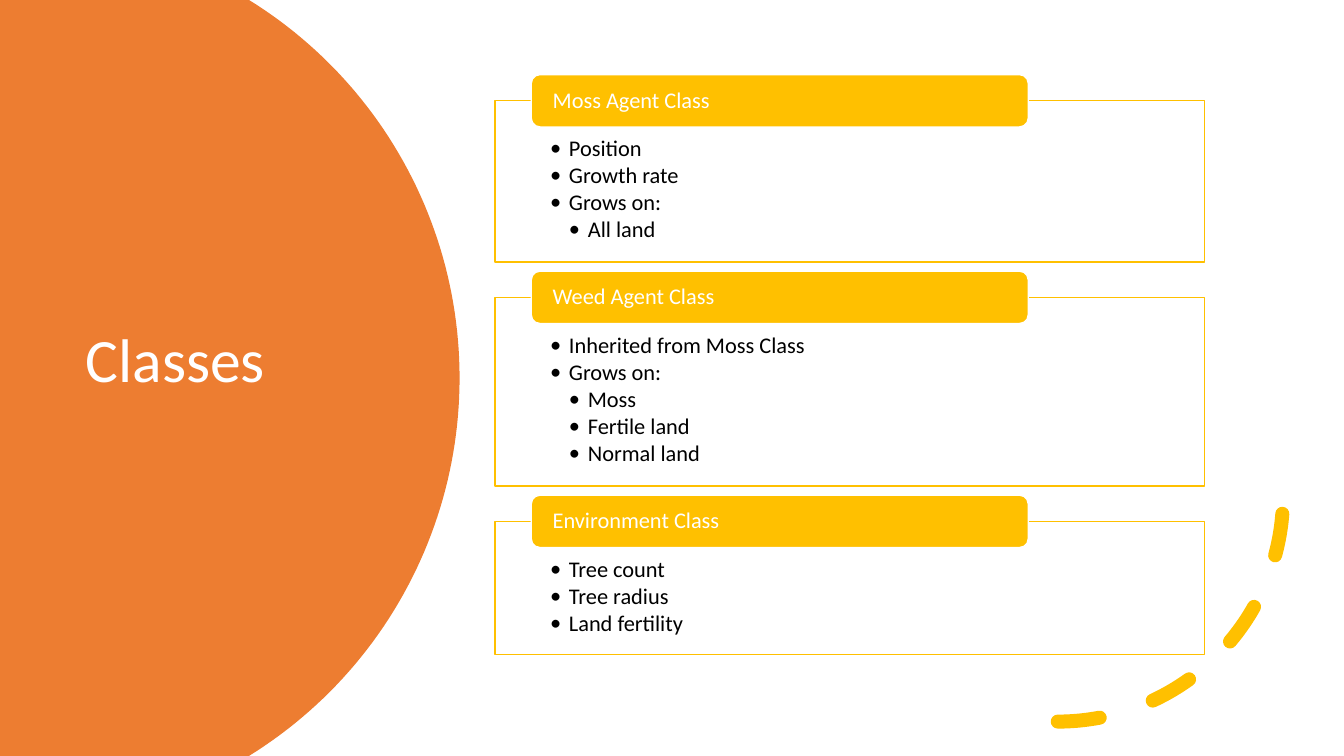
import math
from dataclasses import dataclass

from lxml import etree
from pptx import Presentation
from pptx import util as u
from pptx.dml import color
from pptx.enum import dml, shapes, text
from pptx.oxml import ns

Pt = u.Pt
ORANGE, GOLD, WHITE, BLACK = "ED7D31", "FFC000", "FFFFFF", "000000"
SLIDE_W, SLIDE_H = 960, 540

# Class boxes
BOX_LEFT, BOX_TOP, BOX_W, BOX_GAP = 353.5, 72, 507, 25.2
TAB_LEFT, TAB_W, TAB_H, TAB_RISE = 379.5, 355, 37.4, 18.7
INDENT = 13.5


@dataclass
class ClassBox:
    placeholder: int
    name: str
    height: float
    items: list[tuple[int, str]]


BOXES = [
    ClassBox(1, "Moss Agent Class", 115.2,
             [(1, "Position"), (1, "Growth rate"), (1, "Grows on:"), (2, "All land")]),
    ClassBox(2, "Weed Agent Class", 134.8,
             [(1, "Inherited from Moss Class"), (1, "Grows on:"), (2, "Moss"),
              (2, "Fertile land"), (2, "Normal land")]),
    ClassBox(3, "Environment Class", 95.2,
             [(1, "Tree count"), (1, "Tree radius"), (1, "Land fertility")]),
]


def rgb(value: str) -> color.RGBColor:
    return color.RGBColor.from_string(value)


def style(sp, fill: str | None = None, line: str | None = None, width: float = 1) -> None:
    """Set fill and outline; None means there is none."""
    if fill:
        sp.fill.solid()
        sp.fill.fore_color.rgb = rgb(fill)
    else:
        sp.fill.background()
    if line:
        sp.line.color.rgb = rgb(line)
        sp.line.width = Pt(width)
    else:
        sp.line.fill.background()


def place(sp, left: float, top: float, width: float, height: float) -> None:
    """Move a placeholder and bring it to the front."""
    sp.left, sp.top, sp.width, sp.height = map(Pt, (left, top, width, height))
    tree = sp._element.getparent()
    tree.remove(sp._element)
    tree.append(sp._element)


def frame(sp, *, insets: tuple[float, float, float, float], anchor):
    tf = sp.text_frame
    tf.word_wrap = True
    tf.auto_size = text.MSO_AUTO_SIZE.NONE
    tf.vertical_anchor = anchor
    tf.margin_left, tf.margin_top, tf.margin_right, tf.margin_bottom = map(Pt, insets)
    return tf


def write(p, words: str, *, size: float, colour: str, level: int = 0, after: float = 0) -> None:
    """Fill a paragraph; a level above 0 makes it a bullet."""
    p.alignment = text.PP_ALIGN.LEFT
    p.line_spacing = 0.9
    p.space_before, p.space_after = Pt(0), Pt(after)
    if level:
        p.level = level
        pPr = p._p.get_or_add_pPr()
        pPr.set("marL", str(Pt(INDENT * level)))
        pPr.set("indent", str(Pt(-INDENT)))
        etree.SubElement(pPr, ns.qn("a:buFont")).set("typeface", "Calibri")
        etree.SubElement(pPr, ns.qn("a:buChar")).set("char", "•")
    r = p.add_run()
    r.text = words
    r.font.name, r.font.size, r.font.bold = "Calibri", Pt(size), False
    r.font.color.rgb = rgb(colour)


def add_disc(s) -> None:
    """Orange disc cut off by the left, top and bottom slide edges."""
    cx, cy, radius, steps = 10.8, SLIDE_H / 2, 317.5, 96
    reach = math.asin(cy / radius)
    angles = [reach * (2 * i / steps - 1) for i in range(steps + 1)]
    rim = [(Pt(cx + radius * math.cos(a)), Pt(cy + radius * math.sin(a))) for a in angles]
    builder = s.shapes.build_freeform(0, 0)
    builder.add_line_segments(rim + [(0, Pt(SLIDE_H))], close=True)
    sp = builder.convert_to_shape()
    sp.shadow.inherit = False
    style(sp, ORANGE)


def add_dashed_arc(s) -> None:
    sp = s.shapes.add_shape(shapes.MSO_SHAPE.ARC, Pt(594.7), Pt(193.7), Pt(321.8), Pt(321.8))
    sp.shadow.inherit = False
    style(sp, line=GOLD, width=10)
    sp.line.dash_style = dml.MSO_LINE.DASH
    sp.line._get_or_add_ln().set("cap", "rnd")
    sp._element.spPr.find(ns.qn("a:xfrm")).set("flipV", "1")


def add_class_box(s, box: ClassBox, top: float) -> None:
    # Outlined list
    sp = s.placeholders[box.placeholder]
    place(sp, BOX_LEFT, top, BOX_W, box.height)
    style(sp, WHITE, GOLD)
    fill = sp._element.spPr.find(ns.qn("a:solidFill"))
    etree.SubElement(fill[0], ns.qn("a:alpha")).set("val", "90000")
    tf = frame(sp, insets=(39.4, 26, 39.4, 8.6), anchor=text.MSO_ANCHOR.TOP)
    for i, (level, words) in enumerate(box.items):
        p = tf.add_paragraph() if i else tf.paragraphs[0]
        write(p, words, size=16, colour=BLACK, level=level, after=2.1)

    # Name tab
    sp = s.shapes.add_shape(shapes.MSO_SHAPE.ROUNDED_RECTANGLE, Pt(TAB_LEFT),
                            Pt(top - TAB_RISE), Pt(TAB_W), Pt(TAB_H))
    sp.shadow.inherit = False
    style(sp, GOLD, WHITE)
    tf = frame(sp, insets=(INDENT, 0, INDENT, 0), anchor=text.MSO_ANCHOR.MIDDLE)
    write(tf.paragraphs[0], box.name, size=16, colour=WHITE)


def main() -> None:
    prs = Presentation()
    prs.slide_width, prs.slide_height = Pt(SLIDE_W), Pt(SLIDE_H)
    s = prs.slides.add_slide(prs.slide_layouts.get_by_name("Comparison"))

    # Title on the disc
    add_disc(s)
    title = s.shapes.title
    place(title, 54, 90.7, 252, 351.4)
    tf = frame(title, insets=(7.2, 3.6, 7.2, 18), anchor=text.MSO_ANCHOR.MIDDLE)
    write(tf.paragraphs[0], "Classes", size=44, colour=WHITE)

    # Corner decoration
    add_dashed_arc(s)

    # Stack of class boxes
    top = BOX_TOP
    for box in BOXES:
        add_class_box(s, box, top)
        top += box.height + BOX_GAP

    # Unused placeholder
    spare = s.placeholders[4]._element
    spare.getparent().remove(spare)

    prs.save("out.pptx")


if __name__ == "__main__":
    main()
